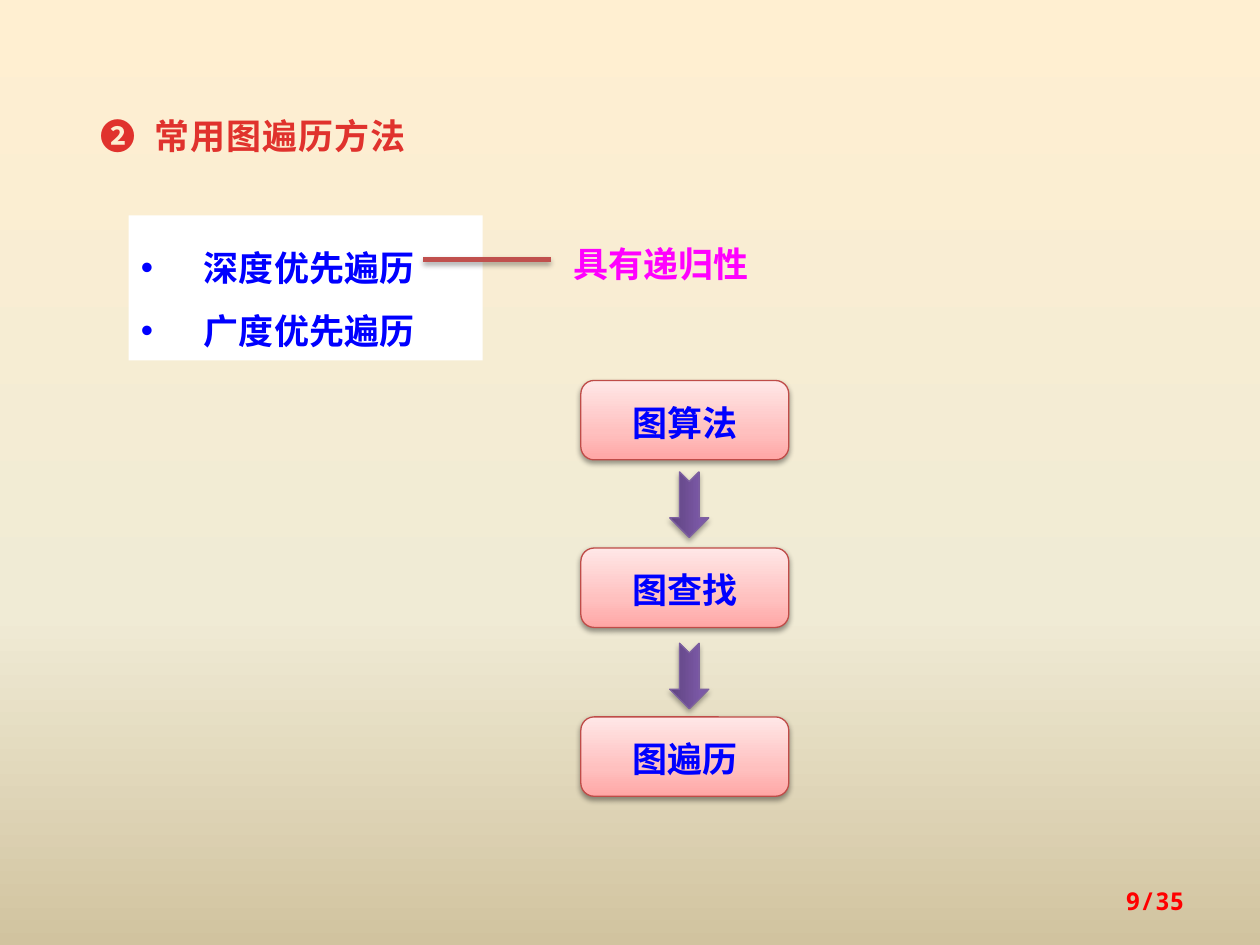
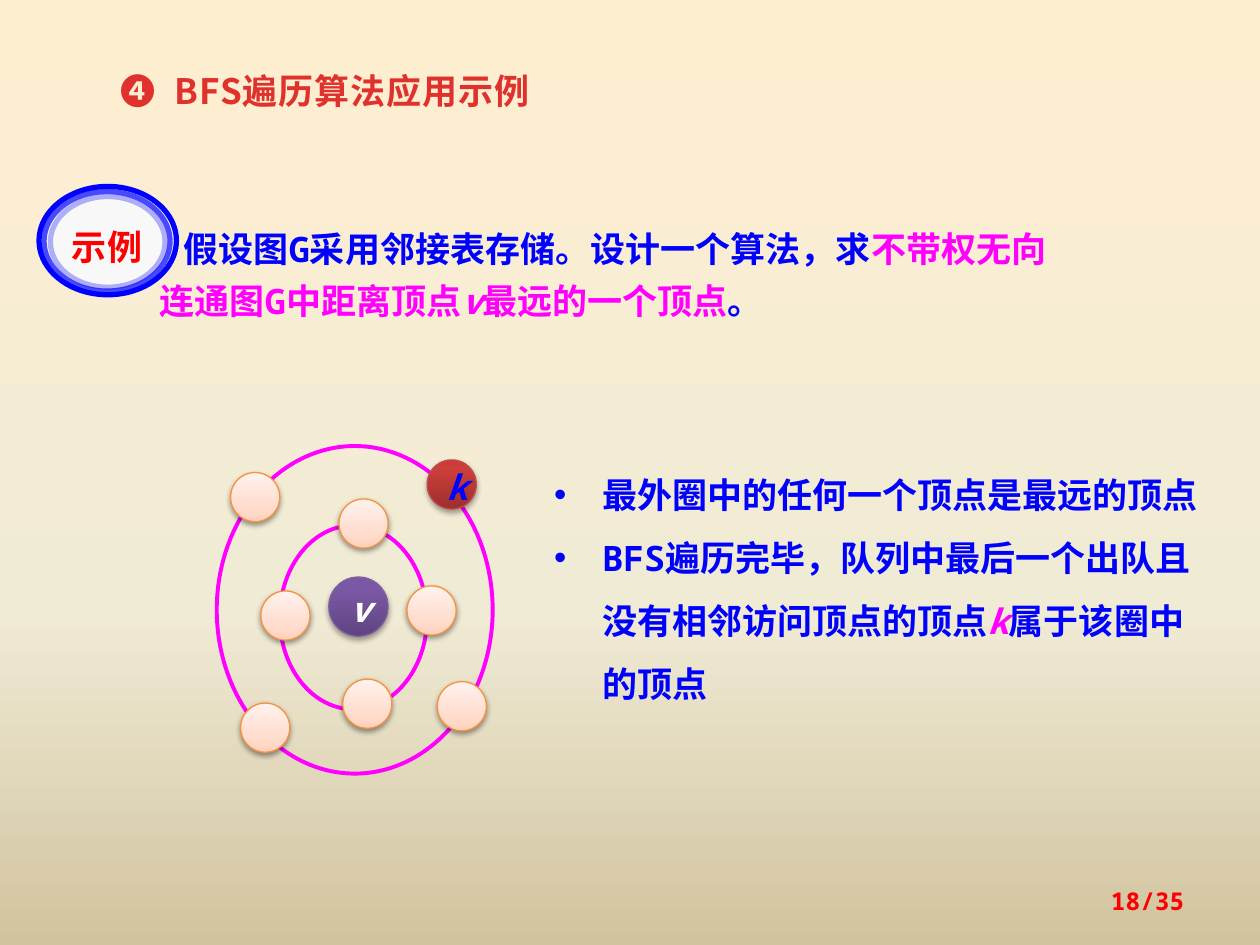
"""Two slides on graph traversal: common methods and a BFS application."""
from lxml import etree
from pptx import Presentation
from pptx.dml.color import RGBColor
from pptx.enum.shapes import MSO_CONNECTOR, MSO_SHAPE as SHAPE
from pptx.enum.text import MSO_ANCHOR as ANCHOR, PP_ALIGN as ALIGN
from pptx.oxml.ns import qn
from pptx.util import Inches, Pt

COLORS = {
    "blue": "0000FF", "magenta": "FF00FF", "red": "FF0000", "white": "FFFFFF",
    "heading": "E0322D", "link": "C0504D", "badge": "F8F8F8",
}
CJK = "Noto Sans CJK SC"
MONO = "Noto Sans Mono"
BACKDROP = [(0, "FFEFD1"), (65, "F0EBD5"), (100, "D1C39F")]
SOFT, STRONG = (38, 1.6), (35, 1.8)
LOOKS = {
    "pink": ([(0, "FFA6A5"), (35, "FFC0BF"), (100, "FFE7E7")], "BF4C48", SOFT),
    "peach": ([(0, "FFD2BD"), (35, "FFDED0"), (100, "FFF2ED")], "F69240", SOFT),
    "purple": ([(0, "5F4480"), (80, "7B58A6"), (100, "7C57A8")], "7D60A0", STRONG),
    "crimson": ([(0, "9C2F2D"), (80, "CB3E3A"), (100, "CE3B37")], "BF4C48", STRONG),
}


def put_text(frame, paragraphs, size=20, color="blue", font=MONO, east=CJK, bold=True,
             align=ALIGN.LEFT, spacing=None, anchor=ANCHOR.TOP, hanging=0,
             first_indent=0, tab=0, tracking=0):
    frame.word_wrap = True
    frame.vertical_anchor = anchor
    for index, pieces in enumerate(paragraphs):
        para = frame.add_paragraph() if index else frame.paragraphs[0]
        props = para._p.get_or_add_pPr()
        if hanging:
            props.set("marL", str(Inches(hanging)))
            props.set("indent", str(-Inches(hanging)))
            etree.SubElement(props, qn("a:buFont"), typeface="Arial")
            etree.SubElement(props, qn("a:buChar"), char="•")
        if first_indent:
            props.set("indent", str(Inches(first_indent)))
        if tab:
            stops = etree.SubElement(props, qn("a:tabLst"))
            etree.SubElement(stops, qn("a:tab"), pos=str(Inches(tab)), algn="l")
        para.alignment = align
        para.line_spacing = spacing
        for text, own_color, italic in pieces:
            run = para.add_run()
            run.text = text
            run.font.size, run.font.bold, run.font.italic = Pt(size), bold, italic
            run.font.color.rgb = RGBColor.from_string(COLORS[own_color or color])
            run.font.name = font
            run_props = run._r.get_or_add_rPr()
            etree.SubElement(run_props, qn("a:ea"), typeface=east)
            if tracking:
                run_props.set("spc", str(int(tracking * 100)))


def paint(props, stops=None, angle=270, shadow=None):
    if stops:
        gradient = etree.Element(qn("a:gradFill"), rotWithShape="1")
        stop_list = etree.SubElement(gradient, qn("a:gsLst"))
        for position, color in stops:
            stop = etree.SubElement(stop_list, qn("a:gs"), pos=str(position * 1000))
            etree.SubElement(stop, qn("a:srgbClr"), val=color)
        etree.SubElement(gradient, qn("a:lin"), ang=str(angle * 60000), scaled="0")
        props.replace(props.find(qn("a:solidFill")), gradient)
    if shadow:
        opacity, distance = shadow
        effects = props.find(qn("a:effectLst"))
        cast = etree.SubElement(effects, qn("a:outerShdw"), blurRad=str(Pt(3.1)),
                                dist=str(Pt(distance)), dir="5400000", rotWithShape="0")
        tone = etree.SubElement(cast, qn("a:srgbClr"), val="000000")
        etree.SubElement(tone, qn("a:alpha"), val=str(opacity * 1000))


deck = Presentation()
deck.slide_width, deck.slide_height = Inches(10), Inches(7.5)
methods, example = [deck.slides.add_slide(deck.slide_layouts[6]) for _ in range(2)]

for slide, number, heading, heading_at in [
    (methods, "9/35", "❷\t常用图遍历方法", (0.7, 0.78, 3.75, 0.52)),
    (example, "18/35", "❹\tBFS遍历算法应用示例", (0.86, 0.42, 4.45, 0.52)),
]:
    slide.background.fill.solid()
    slide.background.fill.fore_color.rgb = RGBColor.from_string(BACKDROP[0][1])
    paint(slide._element.cSld.find(".//" + qn("p:bgPr")), BACKDROP, 90)
    title = slide.shapes.add_textbox(*map(Inches, heading_at))
    put_text(title.text_frame, [[(heading, None, False)]], color="heading", font=CJK,
             spacing=Pt(30), tab=0.43, tracking=0.5)
    page = slide.shapes.add_textbox(*map(Inches, (7.17, 6.95, 2.33, 0.4)))
    put_text(page.text_frame, [[(number, None, False)]], size=14, color="red",
             align=ALIGN.RIGHT, anchor=ANCHOR.MIDDLE)

method_list = methods.shapes.add_shape(SHAPE.RECTANGLE, *map(Inches, (1.02, 1.71, 2.81, 1.15)))
method_list.shadow.inherit = False
method_list.fill.solid()
method_list.fill.fore_color.rgb = RGBColor.from_string(COLORS["white"])
method_list.line.fill.background()
method_list.text_frame.margin_top = Inches(0.08)
method_list.text_frame.margin_bottom = Inches(0.12)
put_text(method_list.text_frame,
         [[("深度优先遍历", None, False)], [("广度优先遍历", None, False)]],
         spacing=1.5, hanging=0.5)

recursion = methods.shapes.add_textbox(*map(Inches, (4.45, 1.79, 1.88, 0.48)))
put_text(recursion.text_frame, [[("具有递归性", None, False)]], color="magenta", font=CJK,
         spacing=Pt(30))
link = methods.shapes.add_connector(MSO_CONNECTOR.STRAIGHT,
                                    *map(Inches, (3.36, 2.06, 4.37, 2.06)))
link.line.color.rgb = RGBColor.from_string(COLORS["link"])
link.line.width = Pt(3)
link_props = link._element.spPr
etree.SubElement(link_props, qn("a:effectLst"))
paint(link_props, shadow=STRONG)

problem = example.shapes.add_textbox(*map(Inches, (1.17, 1.67, 7.5, 0.91)))
put_text(problem.text_frame, [[
    ("假设图G采用邻接表存储。设计一个算法，求", None, False),
    ("不带权无向连通图G中距离顶点", "magenta", False),
    ("v", "magenta", True),
    ("最远的一个顶点", "magenta", False),
    ("。", None, False),
]], spacing=Pt(30), first_indent=0.19)

rings = [
    ((2.22, 4.17, 1.17, 1.46), [(3.23, 4.65), (2.72, 5.39), (2.69, 3.96), (2.07, 4.69)]),
    ((1.72, 3.54, 2.19, 2.6), [(1.91, 5.58), (3.47, 5.41), (1.83, 3.75)]),
]
outlines = [(ring, "magenta", 2.25, None, 100) for ring, _ in rings] + [
    ((0.31, 1.48, 1.09, 0.86), "blue", 3, "badge", 100),
    ((0.35, 1.52, 1, 0.79), "blue", 3, None, 70),
    ((0.4, 1.56, 0.91, 0.72), "blue", 3, None, 30),
]
for at, color, width, inside, opacity in outlines:
    oval = example.shapes.add_shape(SHAPE.OVAL, *map(Inches, at))
    oval.shadow.inherit = False
    oval.fill.background()
    if inside:
        oval.fill.solid()
        oval.fill.fore_color.rgb = RGBColor.from_string(COLORS[inside])
    oval.line.color.rgb = RGBColor.from_string(COLORS[color])
    oval.line.width = Pt(width)
    if opacity < 100:
        tone = oval.line._ln.find(".//" + qn("a:srgbClr"))
        etree.SubElement(tone, qn("a:alpha"), val=str(opacity * 1000))

nodes = [
    (methods, SHAPE.ROUNDED_RECTANGLE, (4.61, top, 1.65, 0.63), "pink", label)
    for top, label in [(3.02, "图算法"), (4.35, "图查找"), (5.69, "图遍历")]
] + [
    (methods, SHAPE.NOTCHED_RIGHT_ARROW, (5.21, top, 0.52, 0.31), "purple", None)
    for top in (3.85, 5.21)
] + [
    (example, SHAPE.OVAL, (left, top, 0.39, 0.39), "peach", None)
    for _, vertices in rings for left, top in vertices
] + [
    (example, SHAPE.OVAL, (2.61, 4.58, 0.47, 0.47), "purple", "v"),
    (example, SHAPE.OVAL, (3.39, 3.65, 0.39, 0.39), "crimson", "k"),
]
for slide, kind, at, look, label in nodes:
    stops, edge, shadow = LOOKS[look]
    node = slide.shapes.add_shape(kind, *map(Inches, at))
    node.rotation = 90 if kind == SHAPE.NOTCHED_RIGHT_ARROW else 0
    node.fill.solid()
    node.line.color.rgb = RGBColor.from_string(edge)
    node.line.width = Pt(0.75)
    node.shadow.inherit = False
    paint(node._element.spPr, stops, shadow=shadow)
    if label:
        put_text(node.text_frame, [[(label, None, slide is example)]],
                 color="white" if label == "v" else "blue",
                 font=MONO if slide is example else CJK,
                 align=ALIGN.CENTER, spacing=1.1, anchor=ANCHOR.MIDDLE)

badge = example.shapes.add_textbox(*map(Inches, (0.37, 1.71, 0.96, 0.39)))
put_text(badge.text_frame, [[("示例", None, False)]], color="red", font="Noto Sans CJK JP",
         east="Noto Sans CJK JP", align=ALIGN.CENTER, spacing=1.1)

findings = example.shapes.add_textbox(*map(Inches, (4.3, 3.54, 5.39, 2.12)))
put_text(findings.text_frame, [
    [("最外圈中的任何一个顶点是最远的顶点", None, False)],
    [("BFS遍历完毕，队列中最后一个出队且没有相邻访问顶点的顶点", None, False),
     ("k", "magenta", True),
     ("属于该圈中的顶点", None, False)],
], spacing=1.5, hanging=0.38)

deck.save("out.pptx")
